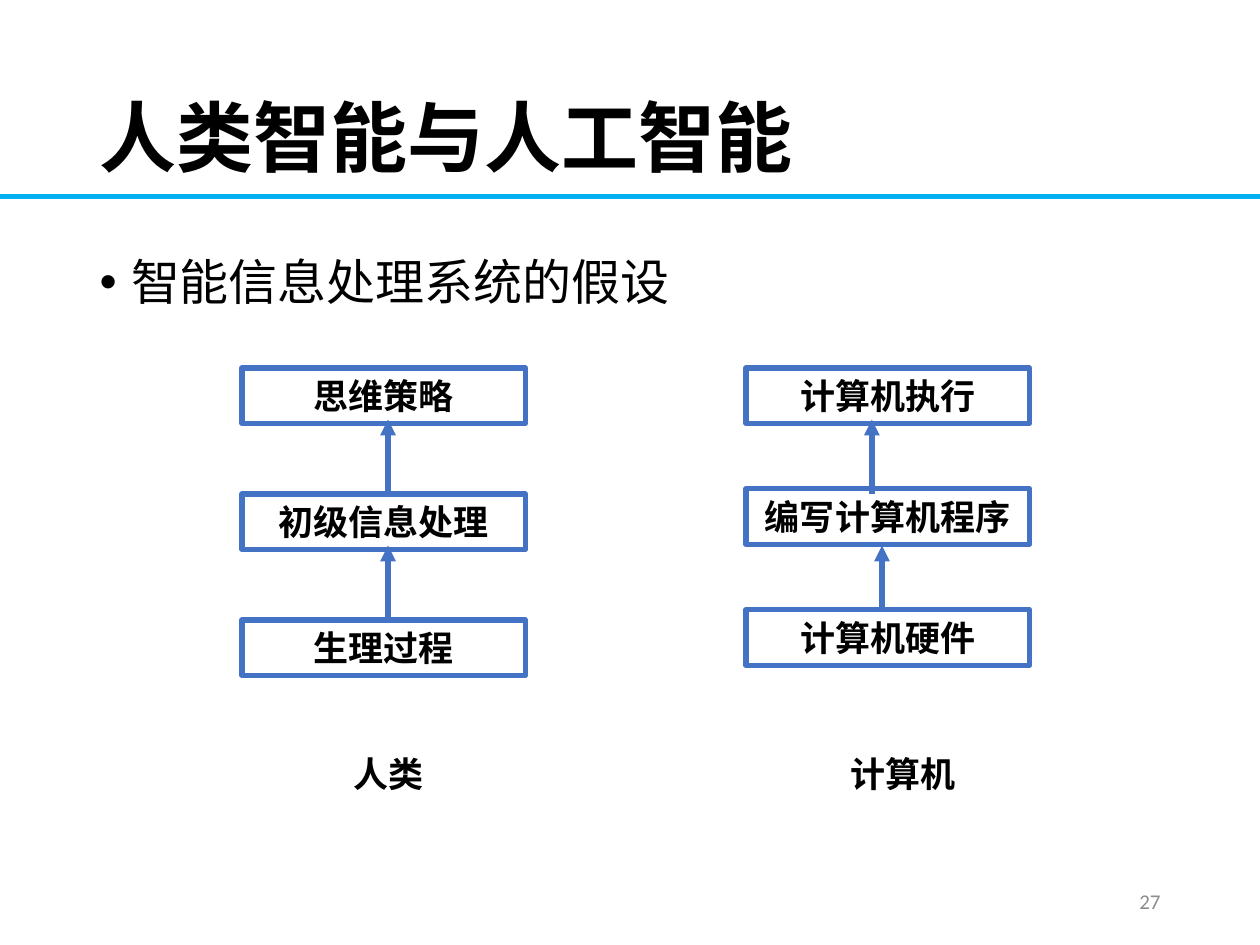
from lxml import etree
from pptx import Presentation
from pptx.dml.color import RGBColor
from pptx.enum.shapes import MSO_CONNECTOR, MSO_SHAPE
from pptx.enum.text import MSO_ANCHOR, MSO_AUTO_SIZE, PP_ALIGN
from pptx.oxml.ns import qn
from pptx.util import Inches, Pt

LEFT, CENTER, RIGHT = PP_ALIGN.LEFT, PP_ALIGN.CENTER, PP_ALIGN.RIGHT
TOP, MIDDLE = MSO_ANCHOR.TOP, MSO_ANCHOR.MIDDLE
NO_FIT = MSO_AUTO_SIZE.NONE
RECTANGLE = MSO_SHAPE.RECTANGLE
STRAIGHT = MSO_CONNECTOR.STRAIGHT


def color(value):
    return RGBColor.from_string(value)


class SlideBuilder:
    cjk_font = "Noto Sans CJK SC"
    ink = "000000"
    blue = "4472C4"
    cyan = "00B0F0"
    gray = "8C8C8C"
    stroke = Pt(3)

    def __init__(self, page):
        self.page = page

    def place(self, box, left, top, width, height):
        box.left, box.top = Inches(left), Inches(top)
        box.width, box.height = Inches(width), Inches(height)

    def set_text(self, box, text, size, font="Arial", ink=ink, bold=False,
                 align=CENTER, anchor=MIDDLE):
        frame = box.text_frame
        frame.word_wrap = True
        frame.auto_size = NO_FIT
        frame.vertical_anchor = anchor
        para = frame.paragraphs[0]
        para.alignment = align
        para.space_before = Pt(0)
        span = para.add_run()
        span.text = text
        span.font.size = Pt(size)
        span.font.bold = bold
        span.font.color.rgb = color(ink)
        span.font.name = font
        east_asian = etree.SubElement(span.font._element, qn("a:ea"))
        east_asian.set("typeface", self.cjk_font)
        return para

    def title(self, text):
        box = self.page.shapes.title
        self.place(box, 0.69, 0.4, 8.62, 1.45)
        para = self.set_text(box, text, 44, self.cjk_font, bold=True, align=LEFT)
        para.line_spacing = 0.9

    def bullet(self, text):
        box = self.page.placeholders[1]
        self.place(box, 0.69, 2, 8.62, 0.75)
        para = self.set_text(box, text, 28, align=LEFT, anchor=TOP)
        para.line_spacing = 0.9
        properties = para._p.get_or_add_pPr()
        properties.set("marL", str(Inches(0.25)))
        properties.set("indent", str(-Inches(0.25)))
        etree.SubElement(properties, qn("a:buFont")).set("typeface", "Arial")
        etree.SubElement(properties, qn("a:buChar")).set("char", "•")

    def label(self, text, left, top, width, height, size, **style):
        box = self.page.shapes.add_textbox(
            Inches(left), Inches(top), Inches(width), Inches(height))
        self.set_text(box, text, size, **style)

    def step(self, text, left, top):
        box = self.page.shapes.add_shape(
            RECTANGLE, Inches(left), Inches(top), Inches(2.25), Inches(0.44))
        box.shadow.inherit = False
        box.fill.background()
        box.line.color.rgb = color(self.blue)
        box.line.width = self.stroke
        self.set_text(box, text, 20, bold=True)

    def line(self, start, end, ink, arrow=False):
        line = self.page.shapes.add_connector(
            STRAIGHT, *(Inches(value) for value in (*start, *end)))
        line.line.color.rgb = color(ink)
        line.line.width = self.stroke
        if arrow:
            outline = line.line._get_or_add_ln()
            etree.SubElement(outline, qn("a:tailEnd")).set("type", "triangle")
        etree.SubElement(line._element.spPr, qn("a:effectLst"))

    def column(self, name, name_left, left, pitch, steps, arrows):
        for row, text in enumerate(steps):
            self.step(text, left, 2.92 + row * pitch)
        for x, start, end in arrows:
            self.line((x, start), (x, end), self.blue, arrow=True)
        self.label(name, name_left, 5.92, 1.83, 0.43, 20, bold=True)


def main():
    deck = Presentation()
    deck.slide_width, deck.slide_height = Inches(10), Inches(7.5)
    slide = SlideBuilder(deck.slides.add_slide(deck.slide_layouts[1]))
    slide.line((0, 1.56), (10, 1.56), slide.cyan)
    slide.title("人类智能与人工智能")
    slide.bullet("智能信息处理系统的假设")
    slide.label("27", 7.06, 6.95, 2.25, 0.4, 12,
                font="Calibri", ink=slide.gray, align=RIGHT)
    slide.column("人类", 2.17, 1.92, 1,
                 ("思维策略", "初级信息处理", "生理过程"),
                 ((3.08, 4.92, 4.33), (3.08, 3.92, 3.33)))
    slide.column("计算机", 6.25, 5.92, 0.96,
                 ("计算机执行", "编写计算机程序", "计算机硬件"),
                 ((7, 4.83, 4.33), (6.92, 3.92, 3.33)))
    deck.save("out.pptx")


if __name__ == "__main__":
    main()
